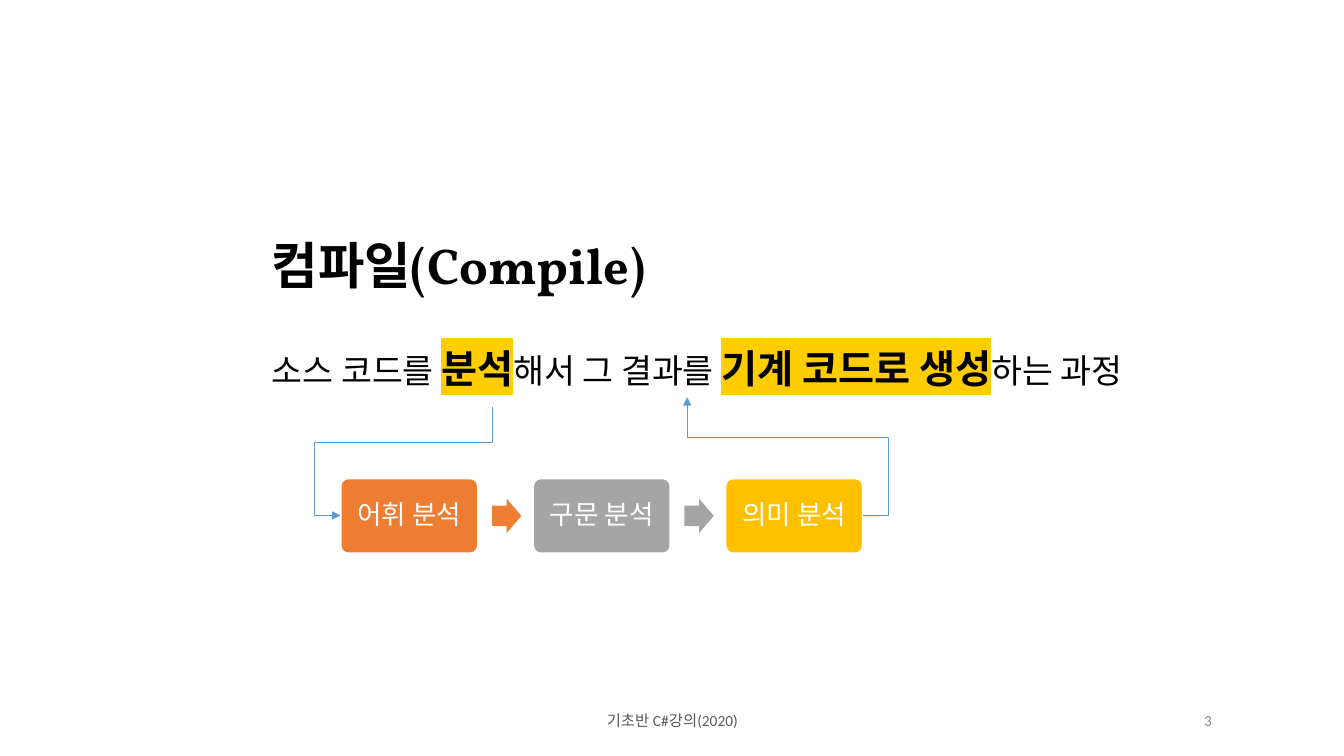
from lxml.etree import SubElement
from pptx import Presentation
from pptx.dml.color import RGBColor
from pptx.enum.shapes import MSO_CONNECTOR, MSO_SHAPE
from pptx.enum.text import MSO_ANCHOR, PP_ALIGN
from pptx.oxml import parse_xml
from pptx.oxml.ns import nsdecls, qn
from pptx.util import Cm, Pt

COLORS = {
    "black": "000000",
    "white": "FFFFFF",
    "footer": "595959",
    "number": "8C8C8C",
    "highlight": "FFCD00",
    "orange": "ED7D31",
    "gray": "A5A5A5",
    "gold": "FFC000",
    "blue": "5B9BD5",
}
STEPS = [("어휘 분석", "orange"), ("구문 분석", "gray"), ("의미 분석", "gold")]
DEFINITION = [
    ("소스 코드를 ", False),
    ("분석", True),
    ("해서 그 결과를 ", False),
    ("기계 코드로 생성", True),
    ("하는 과정", False),
]
STEP_LEFT, STEP_TOP, STEP_WIDTH, STEP_HEIGHT, STEP_PITCH = 8.59, 12.06, 3.45, 1.88, 4.85
ARROW_OFFSET, ARROW_WIDTH, ARROW_HEIGHT = 3.81, 0.74, 0.86


def rgb(name):
    """Return the named palette colour."""
    return RGBColor.from_string(COLORS[name])


def format_span(span, size, color, font="Calibri", bold=False):
    """Set the font of one run."""
    span.font.size = Pt(size)
    span.font.name = font
    span.font.bold = bold
    span.font.color.rgb = rgb(color)


def highlight(span, color):
    """Put a marker colour behind a run."""
    mark = parse_xml(
        f'<a:highlight {nsdecls("a")}><a:srgbClr val="{COLORS[color]}"/></a:highlight>'
    )
    span.font._element.find(qn("a:latin")).addprevious(mark)


def add_box(page, left, top, width, height):
    """Add an empty wrapping text box."""
    box = page.shapes.add_textbox(Cm(left), Cm(top), Cm(width), Cm(height))
    box.text_frame.word_wrap = True
    return box


def add_footer(page, text, left, width, align, color):
    """Add one footer field."""
    frame = add_box(page, left, 17.65, width, 1.02).text_frame
    frame.vertical_anchor = MSO_ANCHOR.MIDDLE
    para = frame.paragraphs[0]
    para.text = text
    para.alignment = align
    format_span(para.runs[0], 11, color)


def add_definition(page):
    """Add the term and its highlighted definition."""
    frame = add_box(page, 6.6, 5.82, 24, 7.8).text_frame
    frame.margin_left = frame.margin_right = Cm(0.25)
    frame.margin_top = frame.margin_bottom = Cm(0.25)
    title = frame.paragraphs[0]
    title.text = "컴파일(Compile)"
    title.space_before = Pt(6)
    format_span(title.runs[0], 36, "black", "Vollkorn", True)
    sentence = frame.add_paragraph()
    sentence.space_before = Pt(39)
    for text, marked in DEFINITION:
        span = sentence.add_run()
        span.text = text
        if marked:
            format_span(span, 28, "black", "Vollkorn", True)
            highlight(span, "highlight")
        else:
            format_span(span, 24, "black")
    for para in frame.paragraphs:
        para.line_spacing = 0.9


def add_filled_shape(page, kind, left, top, width, height, color):
    """Add a flat preset shape without an outline."""
    shape = page.shapes.add_shape(kind, Cm(left), Cm(top), Cm(width), Cm(height))
    shape.shadow.inherit = False
    shape.fill.solid()
    shape.fill.fore_color.rgb = rgb(color)
    shape.line.fill.background()
    return shape


def add_step(page, left, text, color):
    """Add one labelled step of the analysis."""
    step = add_filled_shape(
        page, MSO_SHAPE.ROUNDED_RECTANGLE, left, STEP_TOP, STEP_WIDTH, STEP_HEIGHT, color
    )
    step.adjustments[0] = 0.1
    step.line.color.rgb = rgb("white")
    step.line.width = Pt(1)
    frame = step.text_frame
    frame.word_wrap = True
    frame.vertical_anchor = MSO_ANCHOR.MIDDLE
    frame.margin_left = frame.margin_right = Cm(0.25)
    para = frame.paragraphs[0]
    para.text = text
    para.alignment = PP_ALIGN.CENTER
    para.line_spacing = 0.9
    format_span(para.runs[0], 19, "white")


def add_step_arrow(page, left, color):
    """Add the block arrow that follows a step."""
    top = STEP_TOP + (STEP_HEIGHT - ARROW_HEIGHT) / 2
    arrow = add_filled_shape(
        page, MSO_SHAPE.RIGHT_ARROW, left, top, ARROW_WIDTH, ARROW_HEIGHT, color
    )
    arrow.adjustments[0] = 0.6
    arrow.adjustments[1] = 0.5


def add_bent_arrow(page, start, end, bends, rotation=0):
    """Add a three-bend connector with an arrowhead at its end."""
    points = [Cm(value) for value in (*start, *end)]
    connector = page.shapes.add_connector(MSO_CONNECTOR.ELBOW, *points)
    connector.line.color.rgb = rgb("blue")
    connector.line.width = Pt(0.5)
    properties = connector._element.spPr
    properties.find(qn("a:xfrm")).set("rot", str(rotation * 60000))
    geometry = properties.find(qn("a:prstGeom"))
    geometry.set("prst", "bentConnector4")
    guides = geometry.find(qn("a:avLst"))
    for number, bend in enumerate(bends, 1):
        SubElement(guides, qn("a:gd"), name=f"adj{number}", fmla=f"val {round(bend * 100000)}")
    SubElement(properties.find(qn("a:ln")), qn("a:tailEnd"), type="triangle")
    SubElement(properties, qn("a:effectLst"))


def main():
    """Build and save the slide."""
    deck = Presentation()
    deck.slide_width, deck.slide_height = Cm(33.87), Cm(19.05)
    page = deck.slides.add_slide(deck.slide_layouts[6])
    add_footer(page, "기초반 C#강의(2020)", 11.23, 11.43, PP_ALIGN.CENTER, "footer")
    add_footer(page, "3", 23.93, 6.86, PP_ALIGN.RIGHT, "number")
    add_definition(page)
    for index, (text, color) in enumerate(STEPS):
        left = STEP_LEFT + index * STEP_PITCH
        add_step(page, left, text, color)
        if index < len(STEPS) - 1:
            add_step_arrow(page, left + ARROW_OFFSET, color)
    add_bent_arrow(page, (9.13, 9.7), (11.87, 13.54), (0.33, 1.17), rotation=90)
    add_bent_arrow(page, (21.76, 13), (17.32, 10.01), (-0.14, 0.66))
    deck.save("out.pptx")


if __name__ == "__main__":
    main()
